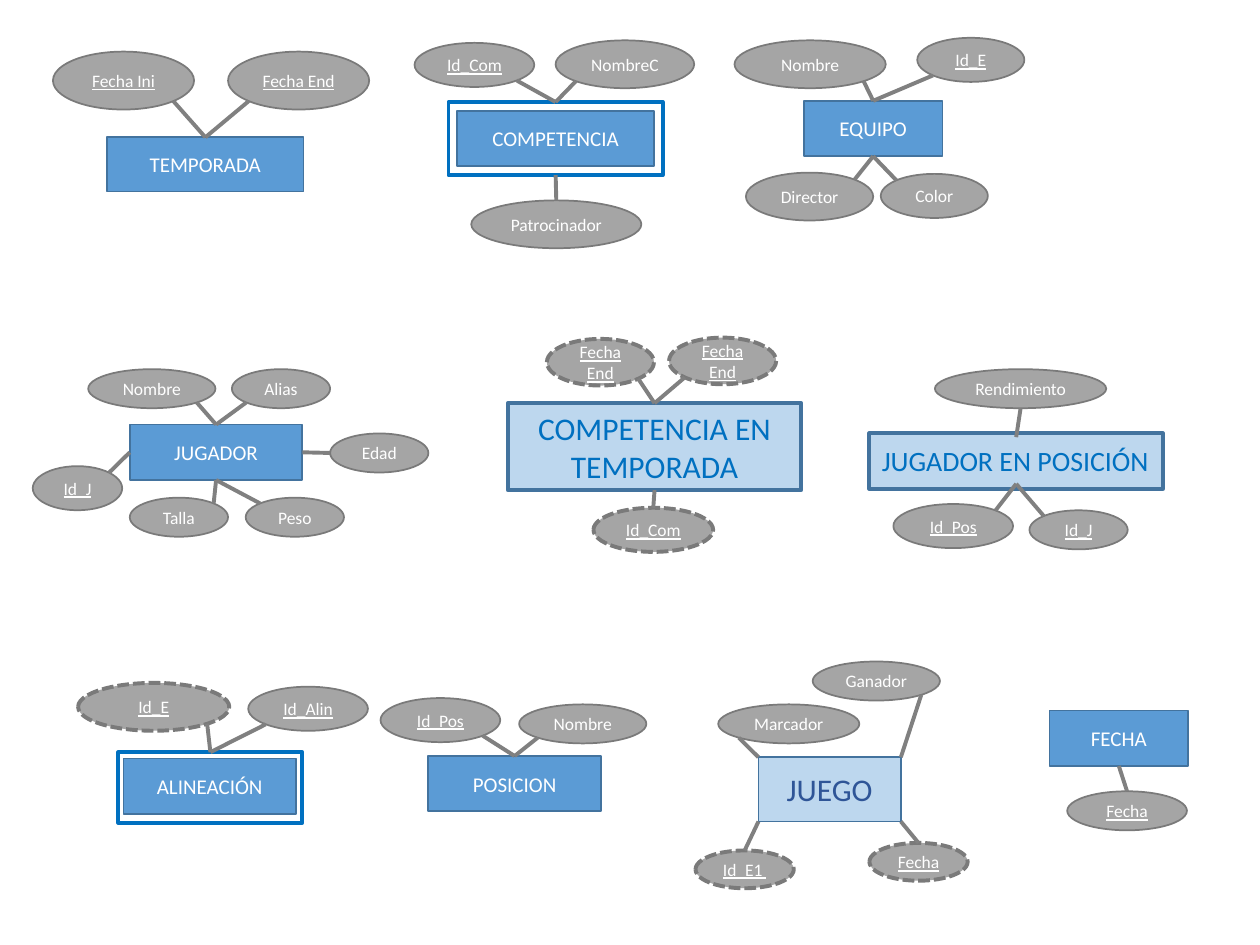
"""Build an entity-relationship diagram of a football league on one slide."""
from dataclasses import dataclass
from math import sqrt
from typing import NamedTuple, Optional

from lxml import etree
from pptx import Presentation
from pptx.dml.color import RGBColor
from pptx.enum.dml import MSO_LINE
from pptx.enum.shapes import MSO_CONNECTOR, MSO_SHAPE
from pptx.enum.text import MSO_ANCHOR, PP_ALIGN
from pptx.oxml.ns import qn
from pptx.util import Inches, Pt

RECTANGLE, ELLIPSE = MSO_SHAPE.RECTANGLE, MSO_SHAPE.OVAL
STRAIGHT = MSO_CONNECTOR.STRAIGHT
DASHED = MSO_LINE.SQUARE_DOT
CENTER, LEFT, MIDDLE = PP_ALIGN.CENTER, PP_ALIGN.LEFT, MSO_ANCHOR.MIDDLE
TOP, BOTTOM, WEST, EAST = (0, -1), (0, 1), (-1, 0), (1, 0)
TL, TR, BL, BR = (-1, -1), (1, -1), (-1, 1), (1, 1)


@dataclass(frozen=True)
class Theme:
    font: str = "Calibri"
    entity: str = "5B9BD5"
    relation: str = "BDD7EE"
    border: str = "43739E"
    accent: str = "0070C0"
    navy: str = "2F5597"
    attribute: str = "A5A5A5"
    attribute_border: str = "7A7A7A"
    link: str = "808080"
    white: str = "FFFFFF"
    attribute_size: float = 10
    entity_size: float = 12
    banner_size: float = 16
    relation_size: float = 18
    thin: float = 1
    thick: float = 2.25


THEME = Theme()


class Box(NamedTuple):
    left: float
    top: float
    width: float
    height: float

    def lengths(self) -> list:
        return [Inches(value) for value in self]

    def site(self, side: tuple, reach: float = 1) -> tuple:
        return (Inches(self.left + self.width / 2 * (1 + side[0] * reach)),
                Inches(self.top + self.height / 2 * (1 + side[1] * reach)))


class Attribute(NamedTuple):
    name: str
    box: Box
    site: tuple
    entity_site: tuple
    key: bool = False
    dashed: bool = False


class Look(NamedTuple):
    fill: str
    color: str
    size: float
    weight: float


PLAIN = Look(THEME.entity, THEME.white, THEME.entity_size, THEME.thin)
RELATION = Look(THEME.relation, THEME.accent, THEME.relation_size, THEME.thick)
BANNER = Look(THEME.relation, THEME.accent, THEME.banner_size, THEME.thick)
MATCH = Look(THEME.relation, THEME.navy, THEME.relation_size, THEME.thin)


@dataclass(frozen=True)
class Entity:
    name: str
    box: Box
    attributes: tuple
    look: Look = PLAIN
    frame: Optional[Box] = None
    label: Optional[Box] = None
    outline: tuple = ()


ENTITIES = (
    Entity("TEMPORADA", Box(0.85, 1.09, 1.56, 0.43), (
        Attribute("Fecha Ini", Box(0.42, 0.41, 1.12, 0.46), BR, TOP, key=True),
        Attribute("Fecha End", Box(1.81, 0.41, 1.12, 0.46), BL, TOP, key=True))),
    Entity("COMPETENCIA", Box(3.63, 0.88, 1.56, 0.44), (
        Attribute("Id_Com", Box(3.29, 0.34, 0.95, 0.35), BR, TOP, key=True),
        Attribute("NombreC", Box(4.41, 0.32, 1.1, 0.38), BL, TOP),
        Attribute("Patrocinador", Box(3.74, 1.59, 1.35, 0.38), TOP, BOTTOM)),
        frame=Box(3.56, 0.81, 1.7, 0.58)),
    Entity("EQUIPO", Box(6.38, 0.8, 1.1, 0.44), (
        Attribute("Nombre", Box(5.83, 0.32, 1.2, 0.38), BR, TOP),
        Attribute("Id_E", Box(7.28, 0.3, 0.85, 0.35), BL, TOP, key=True),
        Attribute("Director", Box(5.92, 1.37, 1.01, 0.38), TR, BOTTOM),
        Attribute("Color", Box(6.99, 1.38, 0.85, 0.35), TL, BOTTOM))),
    Entity("JUGADOR", Box(1.03, 3.37, 1.37, 0.44), (
        Attribute("Nombre", Box(0.7, 2.93, 1.01, 0.31), BR, TOP),
        Attribute("Alias", Box(1.84, 2.93, 0.78, 0.31), BL, TOP),
        Attribute("Edad", Box(2.62, 3.44, 0.78, 0.31), WEST, EAST),
        Attribute("Peso", Box(1.95, 3.95, 0.78, 0.31), TL, BOTTOM),
        Attribute("Talla", Box(1.03, 3.95, 0.78, 0.31), TR, BOTTOM),
        Attribute("Id_J", Box(0.26, 3.7, 0.71, 0.35), TR, WEST, key=True))),
    Entity("COMPETENCIA EN TEMPORADA", Box(4.03, 3.2, 2.33, 0.69), (
        Attribute("Fecha End", Box(4.34, 2.69, 0.85, 0.37), BR, TOP, True, True),
        Attribute("Fecha End", Box(5.31, 2.68, 0.85, 0.37), BL, TOP, True, True),
        Attribute("Id_Com", Box(4.71, 4.03, 0.95, 0.35), TOP, BOTTOM, True, True)),
        look=RELATION),
    Entity("JUGADOR EN POSICIÓN", Box(6.9, 3.44, 2.33, 0.44), (
        Attribute("Rendimiento", Box(7.42, 2.93, 1.36, 0.31), BOTTOM, TOP),
        Attribute("Id_Pos", Box(7.09, 4, 0.95, 0.35), TR, BOTTOM, key=True),
        Attribute("Id_J", Box(8.17, 4.05, 0.78, 0.31), TL, BOTTOM, key=True)),
        look=BANNER, label=Box(6.9, 3.47, 2.33, 0.37)),
    Entity("ALINEACIÓN", Box(0.98, 6.02, 1.37, 0.44), (
        Attribute("Id_E", Box(0.62, 5.42, 1.2, 0.38), BR, TOP, True, True),
        Attribute("Id_Alin", Box(1.97, 5.45, 0.95, 0.35), BL, TOP, key=True)),
        frame=Box(0.94, 5.97, 1.46, 0.56)),
    Entity("POSICION", Box(3.4, 6, 1.37, 0.44), (
        Attribute("Id_Pos", Box(3.02, 5.54, 0.95, 0.35), BR, TOP, key=True),
        Attribute("Nombre", Box(4.12, 5.59, 1.01, 0.31), BL, TOP))),
    Entity("JUEGO", Box(6.02, 6.01, 1.13, 0.51), (
        Attribute("Ganador", Box(6.45, 5.25, 1.01, 0.31), BR, TR),
        Attribute("Marcador", Box(5.7, 5.59, 1.12, 0.31), BL, TL),
        Attribute("Fecha ", Box(6.9, 6.69, 0.78, 0.3), TOP, BR, True, True),
        Attribute("Id_E1 ", Box(5.52, 6.75, 0.78, 0.3), TOP, BL, True, True)),
        look=MATCH,
        outline=((6.02, 6.01), (7.15, 6.01), (7.15, 6.06), (7.15, 6.52), (6.02, 6.52))),
    Entity("FECHA", Box(8.33, 5.64, 1.1, 0.44), (
        Attribute("Fecha", Box(8.47, 6.28, 0.95, 0.31), TOP, BOTTOM, key=True),)),
)


def paint(shape, fill: Optional[str], border: str, weight: float) -> None:
    shape.shadow.inherit = False
    if fill:
        shape.fill.solid()
        shape.fill.fore_color.rgb = RGBColor.from_string(fill)
    else:
        shape.fill.background()
    shape.line.color.rgb = RGBColor.from_string(border)
    shape.line.width = Pt(weight)


def write(shape, text: str, size: float, color: str, key: bool = False, align=CENTER) -> None:
    paragraph = shape.text_frame.paragraphs[0]
    paragraph.alignment = align
    run = paragraph.add_run()
    run.text = text
    run.font.name, run.font.size = THEME.font, Pt(size)
    run.font.color.rgb = RGBColor.from_string(color)
    if key:
        run.font.underline = True


def draw_entity(shapes, entity: Entity) -> None:
    look = entity.look
    if entity.outline:
        points = [(Inches(x), Inches(y)) for x, y in entity.outline]
        builder = shapes.build_freeform(*points[0])
        builder.add_line_segments(points[1:], close=True)
        body = builder.convert_to_shape()
    else:
        body = shapes.add_shape(RECTANGLE, *entity.box.lengths())
    paint(body, look.fill, THEME.border, look.weight)
    if entity.label:
        label = shapes.add_textbox(*entity.label.lengths())
        write(label, entity.name, look.size, look.color, align=LEFT)
    else:
        body.text_frame.word_wrap = True
        body.text_frame.vertical_anchor = MIDDLE
        write(body, entity.name, look.size, look.color)
    if entity.frame:
        frame = shapes.add_shape(RECTANGLE, *entity.frame.lengths())
        paint(frame, None, THEME.accent, THEME.thick)


def draw_attribute(shapes, attribute: Attribute, owner: Box) -> None:
    oval = shapes.add_shape(ELLIPSE, *attribute.box.lengths())
    paint(oval, THEME.attribute, THEME.attribute_border,
          THEME.thick if attribute.dashed else THEME.thin)
    if attribute.dashed:
        oval.line.dash_style = DASHED
    oval.text_frame.word_wrap = True
    oval.text_frame.vertical_anchor = MIDDLE
    write(oval, attribute.name, THEME.attribute_size, THEME.white, attribute.key)

    reach = 1 / sqrt(2) if all(attribute.site) else 1
    link = shapes.add_connector(STRAIGHT, *attribute.box.site(attribute.site, reach),
                                *owner.site(attribute.entity_site))
    link.line.color.rgb = RGBColor.from_string(THEME.link)
    link.line.width = Pt(THEME.thick)
    etree.SubElement(link._element.spPr, qn("a:effectLst"))


def main() -> None:
    deck = Presentation()
    deck.slide_width, deck.slide_height = Inches(10), Inches(7.5)
    shapes = deck.slides.add_slide(deck.slide_layouts[6]).shapes
    for entity in ENTITIES:
        draw_entity(shapes, entity)
        for attribute in entity.attributes:
            draw_attribute(shapes, attribute, entity.frame or entity.label or entity.box)
    deck.save("out.pptx")


main()
